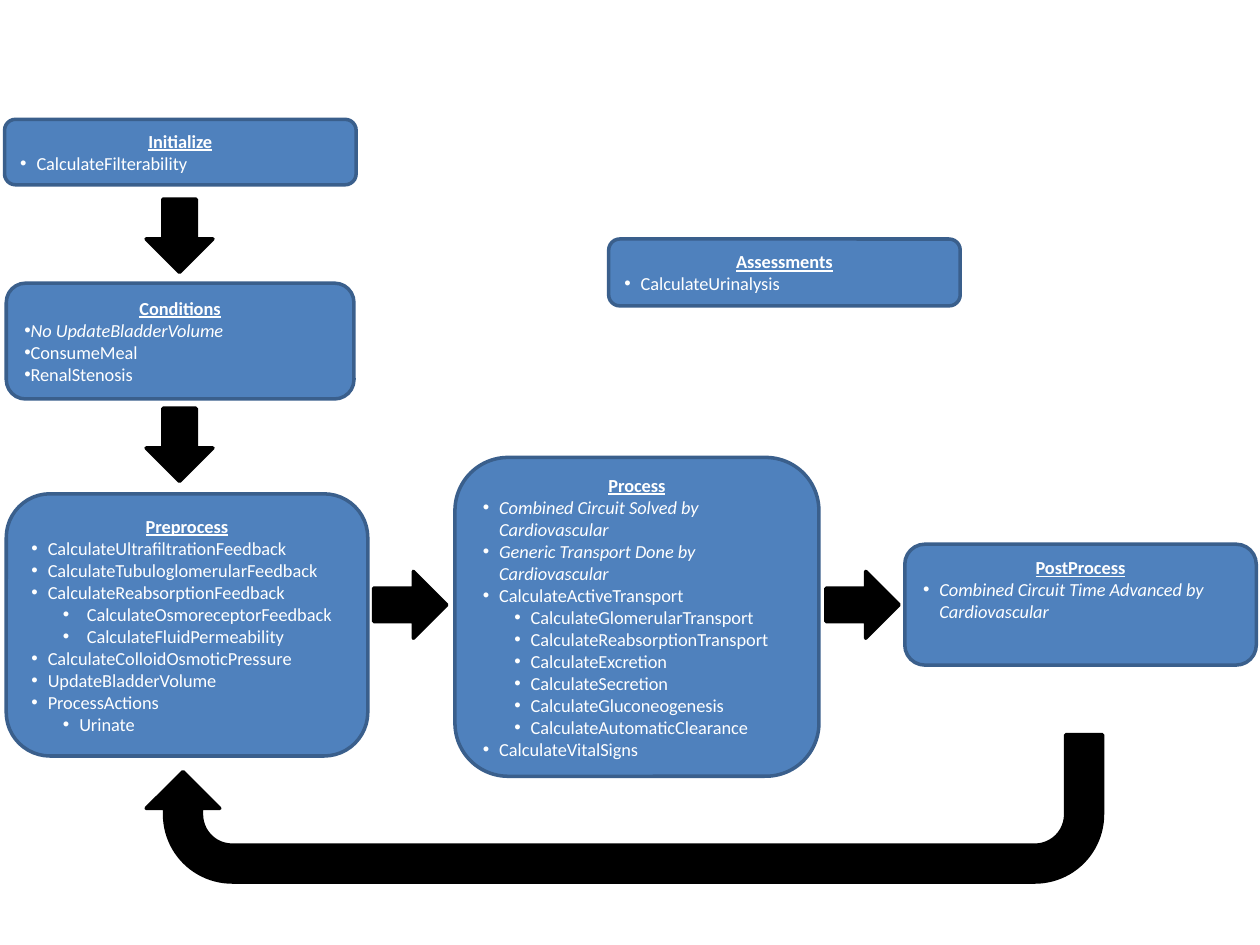
from lxml import etree
from pptx import Presentation
from pptx.dml.color import RGBColor
from pptx.enum import shapes, text
from pptx.oxml import ns
from pptx.util import Pt

COLORS = {"box": "4F81BD", "border": "3A5F8C", "arrow": "000000", "text": "FFFFFF"}
HEADING = {"bold": True, "underline": True}
PLAIN, ITALIC = {"italic": False}, {"italic": True}

# Bullet styles: level, left margin, hanging indent
MAIN = (0, 9.36, -9.36)
SUB = (1, 27.36, -9.36)
WIDE_SUB = (1, 31.68, -13.68)
FLUSH = (0, 0, -17.28)

MIDDLE, TOP = text.MSO_ANCHOR.MIDDLE, text.MSO_ANCHOR.TOP

# Stage: box (left, top, width, height), anchor, heading, groups of bullets
STAGES = [
    ((3.6, 282.2, 206.6, 149.8), MIDDLE, "Preprocess", [
        (MAIN, PLAIN, ["CalculateUltrafiltrationFeedback",
                       "CalculateTubuloglomerularFeedback",
                       "CalculateReabsorptionFeedback"]),
        (WIDE_SUB, PLAIN, ["CalculateOsmoreceptorFeedback", "CalculateFluidPermeability"]),
        (MAIN, PLAIN, ["CalculateColloidOsmoticPressure", "UpdateBladderVolume",
                       "ProcessActions"]),
        (SUB, PLAIN, ["Urinate"])]),
    ((260, 261.4, 208, 182.2), MIDDLE, "Process", [
        (MAIN, ITALIC, ["Combined Circuit Solved by Cardiovascular",
                        "Generic Transport Done by Cardiovascular"]),
        (MAIN, PLAIN, ["CalculateActiveTransport"]),
        (SUB, PLAIN, ["CalculateGlomerularTransport", "CalculateReabsorptionTransport",
                      "CalculateExcretion", "CalculateSecretion",
                      "CalculateGluconeogenesis", "CalculateAutomaticClearance"]),
        (MAIN, PLAIN, ["CalculateVitalSigns"])]),
    ((517, 311, 200.9, 69.1), TOP, "PostProcess", [
        (MAIN, ITALIC, ["Combined Circuit Time Advanced by Cardiovascular"])]),
    ((347.8, 136.6, 200.9, 38.2), MIDDLE, "Assessments", [
        (MAIN, PLAIN, ["CalculateUrinalysis"])]),
    ((2.6, 68.2, 200.9, 37.4), MIDDLE, "Initialize", [
        (MAIN, PLAIN, ["CalculateFilterability"])]),
    ((3.6, 161.8, 198.7, 66.2), MIDDLE, "Conditions", [
        (FLUSH, ITALIC, ["No UpdateBladderVolume"]),
        (FLUSH, PLAIN, ["ConsumeMeal", "RenalStenosis"])]),
]

# Short arrows: left, top, rotation
STEP_SIZE = (38.2, 41.8)
STEPS = [(83.5, 113.8, 0), (83.5, 233.3, 0), (215.3, 324.7, 270), (473.8, 324.7, 270)]
LOOP_BOX = (83.5, 419.8, 546.5, 84.2)
LOOP_ADJUSTMENTS = (0.25, 0.25, 0.25, 0.459, 0.75)


def add_block(slide, kind, box, fill, border):
    block = slide.shapes.add_shape(kind, *(Pt(length) for length in box))
    block.shadow.inherit = False
    block.fill.solid()
    block.fill.fore_color.rgb = RGBColor.from_string(COLORS[fill])
    block.line.color.rgb = RGBColor.from_string(COLORS[border])
    block.line.width = Pt(2)
    return block


def write_line(paragraph, words, formats):
    run = paragraph.add_run()
    run.text = words
    run.font.color.rgb = RGBColor.from_string(COLORS["text"])
    for name, value in {"name": "Calibri", "size": Pt(10.5), **formats}.items():
        setattr(run.font, name, value)


def set_bullet(paragraph, style):
    paragraph.level, margin, indent = style
    paragraph.alignment = text.PP_ALIGN.LEFT
    properties = paragraph._p.get_or_add_pPr()
    properties.set("marL", str(Pt(margin)))
    properties.set("indent", str(Pt(indent)))
    etree.SubElement(properties, ns.qn("a:buFont"), typeface="Arial")
    etree.SubElement(properties, ns.qn("a:buChar"), char="•")


def add_stage(slide, box, anchor, heading, groups):
    stage = add_block(slide, shapes.MSO_SHAPE.ROUNDED_RECTANGLE, box, "box", "border")
    frame = stage.text_frame
    frame.word_wrap = True
    frame.vertical_anchor = anchor
    frame.paragraphs[0].alignment = text.PP_ALIGN.CENTER
    write_line(frame.paragraphs[0], heading, HEADING)
    for style, formats, functions in groups:
        for function in functions:
            paragraph = frame.add_paragraph()
            set_bullet(paragraph, style)
            write_line(paragraph, function, formats)


def add_arrow(slide, kind, box, rotation):
    arrow = add_block(slide, kind, box, "arrow", "arrow")
    arrow.rotation = rotation
    return arrow


def main():
    deck = Presentation()
    deck.slide_width, deck.slide_height = Pt(720), Pt(540)
    slide = deck.slides.add_slide(deck.slide_layouts[6])

    # Stages of the renal system
    for stage in STAGES:
        add_stage(slide, *stage)

    # Arrows from stage to stage
    for left, top, rotation in STEPS:
        add_arrow(slide, shapes.MSO_SHAPE.DOWN_ARROW, (left, top, *STEP_SIZE), rotation)

    # Loop back to Preprocess
    loop = add_arrow(slide, shapes.MSO_SHAPE.U_TURN_ARROW, LOOP_BOX, 180)
    for index, value in enumerate(LOOP_ADJUSTMENTS):
        loop.adjustments[index] = value

    deck.save("out.pptx")


if __name__ == "__main__":
    main()
